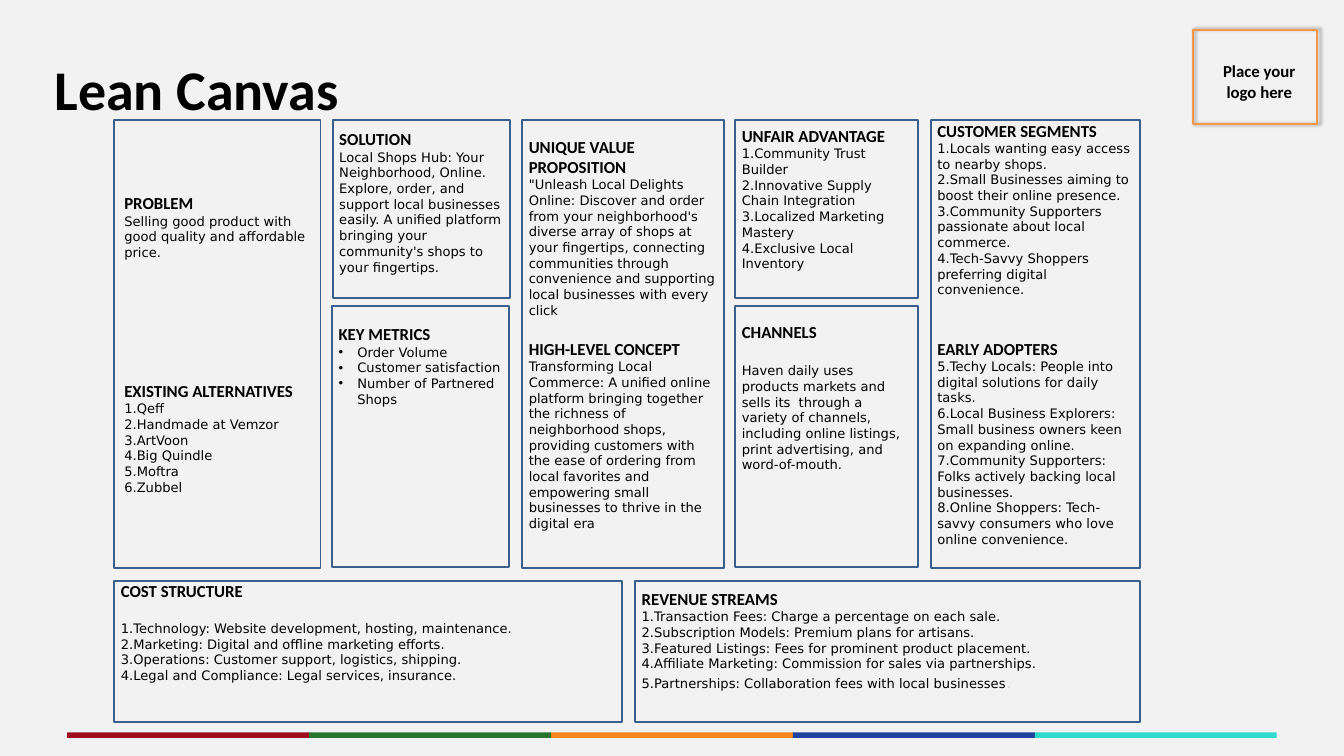
import pptx
import pptx.dml.color
import pptx.enum.shapes
import pptx.enum.text
import pptx.oxml.ns
import pptx.util
from lxml import etree

Inches = pptx.util.Inches
Pt = pptx.util.Pt
ALIGN = pptx.enum.text.PP_ALIGN
RECT = pptx.enum.shapes.MSO_SHAPE.RECTANGLE


def color(code):
    return pptx.dml.color.RGBColor.from_string(code)


def child(node, tag, **attrs):
    return etree.SubElement(node, pptx.oxml.ns.qn(tag), **attrs)


class Canvas:
    head = "Calibri"
    body = "DejaVu Sans"
    ink = "000000"
    edge = "3A5F8C"

    def __init__(self, deck):
        self.slide = deck.slides.add_slide(deck.slide_layouts[6])
        self.slide.background.fill.solid()
        self.slide.background.fill.fore_color.rgb = color("F2F2F2")
        self.home = self.slide.shapes

    def group(self):
        self.home = self.slide.shapes.add_group_shape().shapes

    def rect(self, place, fill=None, line=None):
        shape = self.home.add_shape(RECT, *map(Inches, place))
        shape.shadow.inherit = False
        if fill:
            shape.fill.solid()
            shape.fill.fore_color.rgb = color(fill)
        else:
            shape.fill.background()
        if line:
            shape.line.color.rgb = color(line)
            shape.line.width = Pt(2)
        else:
            shape.line.fill.background()
        return shape

    def frame(self, place, line):
        shape = self.rect(place, line=line)
        glow = shape._element.spPr.find(pptx.oxml.ns.qn("a:effectLst"))
        cast = child(glow, "a:outerShdw", blurRad=str(Pt(4)), dist=str(Pt(3)),
                     dir="0", algn="l", rotWithShape="0")
        tone = child(cast, "a:srgbClr", val="000000")
        child(tone, "a:alpha", val="40000")

    def inset(self, frame, left, top, right, bottom):
        frame.word_wrap = True
        frame.vertical_anchor = pptx.enum.text.MSO_ANCHOR.TOP
        frame.margin_left, frame.margin_top = Inches(left), Inches(top)
        frame.margin_right, frame.margin_bottom = Inches(right), Inches(bottom)

    def run(self, para, text, size, font, bold=False, ink=None):
        run = para.add_run()
        run.text = text
        run.font.size = Pt(size)
        run.font.name = font
        run.font.bold = bold
        run.font.color.rgb = color(ink or self.ink)

    def label(self, place, text, size, pad=(0, 0, 0, 0), align=ALIGN.LEFT,
              pitch=None):
        frame = self.slide.shapes.add_textbox(*map(Inches, place)).text_frame
        self.inset(frame, *pad)
        para = frame.paragraphs[0]
        para.alignment = align
        if pitch:
            para.line_spacing = Pt(pitch)
        self.run(para, text, size, self.head, True)

    def bullet(self, para, kind, start):
        props = para._p.get_or_add_pPr()
        if kind == "dot":
            props.set("marL", str(Inches(0.28)))
            props.set("indent", str(Inches(-0.28)))
            child(props, "a:buFont", typeface="Arial")
            child(props, "a:buChar", char="•")
        elif kind == "num":
            props.set("marL", "0")
            props.set("indent", "0")
            child(props, "a:buFont", typeface="+mj-lt")
            child(props, "a:buAutoNum", type="arabicPeriod", startAt=str(start))

    def card(self, place, top, parts, side=0.1):
        """Each part: heading, kind, lines, gap above heading, gap below, start."""
        frame = self.rect(place, line=self.edge).text_frame
        self.inset(frame, side, top, side, 0.05)
        para = None
        for title, kind, lines, above, below, start in parts:
            para = frame.add_paragraph() if para else frame.paragraphs[0]
            para.alignment = ALIGN.LEFT
            if above:
                para.space_before = Pt(above)
            self.run(para, title, 18, self.head, True)
            for i, line in enumerate(lines):
                para = frame.add_paragraph()
                para.alignment = ALIGN.LEFT
                if below and i == 0:
                    para.space_before = Pt(below)
                self.bullet(para, kind, start)
                self.run(para, line, 14, self.body)
        return para


def part(title, kind, *lines, above=0, below=0, start=1):
    return title, kind, lines, above, below, start


def main():
    deck = pptx.Presentation()
    deck.slide_width, deck.slide_height = Inches(20), Inches(11.25)
    page = Canvas(deck)

    # Colour strip at the foot
    page.group()
    for i, fill in enumerate(["9E0D20", "28742E", "F6861F", "1D439C", "2EDACC"]):
        page.rect((1 + 3.6 * i, 10.9, 3.6, 0.08), fill=fill)

    # Title and logo space
    page.label((0.81, 0.6, 13.49, 1.22), "Lean Canvas", 60, pitch=87.5)
    page.label((17.96, 0.87, 1.56, 0.68), "Place your logo here", 18,
               (0.07, 0.04, 0.07, 0.04), ALIGN.CENTER)
    page.home = page.slide.shapes
    page.frame((17.75, 0.44, 1.85, 1.41), "F79646")

    # Canvas cards, column by column
    page.group()
    top, mid, low = 1.79, 4.55, 8.64
    tall, short, half, base = 6.66, 2.64, 3.89, 2.1

    page.card((1.7, top, 3.07, tall), 1.08, [
        part("PROBLEM", None,
             "Selling good product with good quality and affordable price."),
        part("EXISTING ALTERNATIVES", "num", "Qeff", "Handmade at Vemzor",
             "ArtVoon", "Big Quindle", "Moftra", "Zubbel", above=129),
    ], side=0.15)
    page.card((4.95, top, 2.64, short), 0.13, [
        part("SOLUTION", None,
             "Local Shops Hub: Your Neighborhood, Online. Explore, order, and "
             "support local businesses easily. A unified platform bringing your "
             "community's shops to your fingertips."),
    ])
    page.card((4.94, mid, 2.64, half), 0.27, [
        part("KEY METRICS", "dot", "Order Volume", "Customer satisfaction",
             "Number of Partnered Shops"),
    ])
    page.card((7.77, top, 3.01, tall), 0.24, [
        part("UNIQUE VALUE PROPOSITION", None,
             "\"Unleash Local Delights Online: Discover and order from your "
             "neighborhood's diverse array of shops at your fingertips, "
             "connecting communities through convenience and supporting local "
             "businesses with every click"),
        part("HIGH-LEVEL CONCEPT", None,
             "Transforming Local Commerce: A unified online platform bringing "
             "together the richness of neighborhood shops, providing customers "
             "with the ease of ordering from local favorites and empowering "
             "small businesses to thrive in the digital era", above=22),
    ])
    page.card((10.94, top, 2.72, short), 0.08, [
        part("UNFAIR ADVANTAGE", "num", "Community Trust Builder",
             "Innovative Supply Chain Integration",
             "Localized Marketing Mastery", "Exclusive Local Inventory"),
    ])
    page.card((10.94, mid, 2.72, half), 0.24, [
        part("CHANNELS", None,
             "Haven daily uses products markets and sells its  through a "
             "variety of channels, including online listings, print "
             "advertising, and word-of-mouth.", below=22),
    ])
    page.card((13.85, top, 3.11, tall), 0, [
        part("CUSTOMER SEGMENTS", "num",
             "Locals wanting easy access to nearby shops.",
             "Small Businesses aiming to boost their online presence.",
             "Community Supporters passionate about local commerce.",
             "Tech-Savvy Shoppers preferring digital convenience."),
        part("EARLY ADOPTERS", "num",
             "Techy Locals: People into digital solutions for daily tasks.",
             "Local Business Explorers: Small business owners keen on "
             "expanding online.",
             "Community Supporters: Folks actively backing local businesses.",
             "Online Shoppers: Tech-savvy consumers who love online "
             "convenience.", above=44, start=5),
    ])

    # Money cards along the base
    page.card((1.7, low, 7.55, base), 0, [
        part("COST STRUCTURE", "num",
             "Technology: Website development, hosting, maintenance.",
             "Marketing: Digital and offline marketing efforts.",
             "Operations: Customer support, logistics, shipping.",
             "Legal and Compliance: Legal services, insurance.", below=21),
    ])
    last = page.card((9.45, low, 7.51, base), 0.12, [
        part("REVENUE STREAMS", "num",
             "Transaction Fees: Charge a percentage on each sale.",
             "Subscription Models: Premium plans for artisans.",
             "Featured Listings: Fees for prominent product placement.",
             "Affiliate Marketing: Commission for sales via partnerships.",
             "Partnerships: Collaboration fees with local businesses"),
    ])
    page.run(last, ".", 18, page.body, ink="D1D5DB")

    deck.save("out.pptx")


if __name__ == "__main__":
    main()
